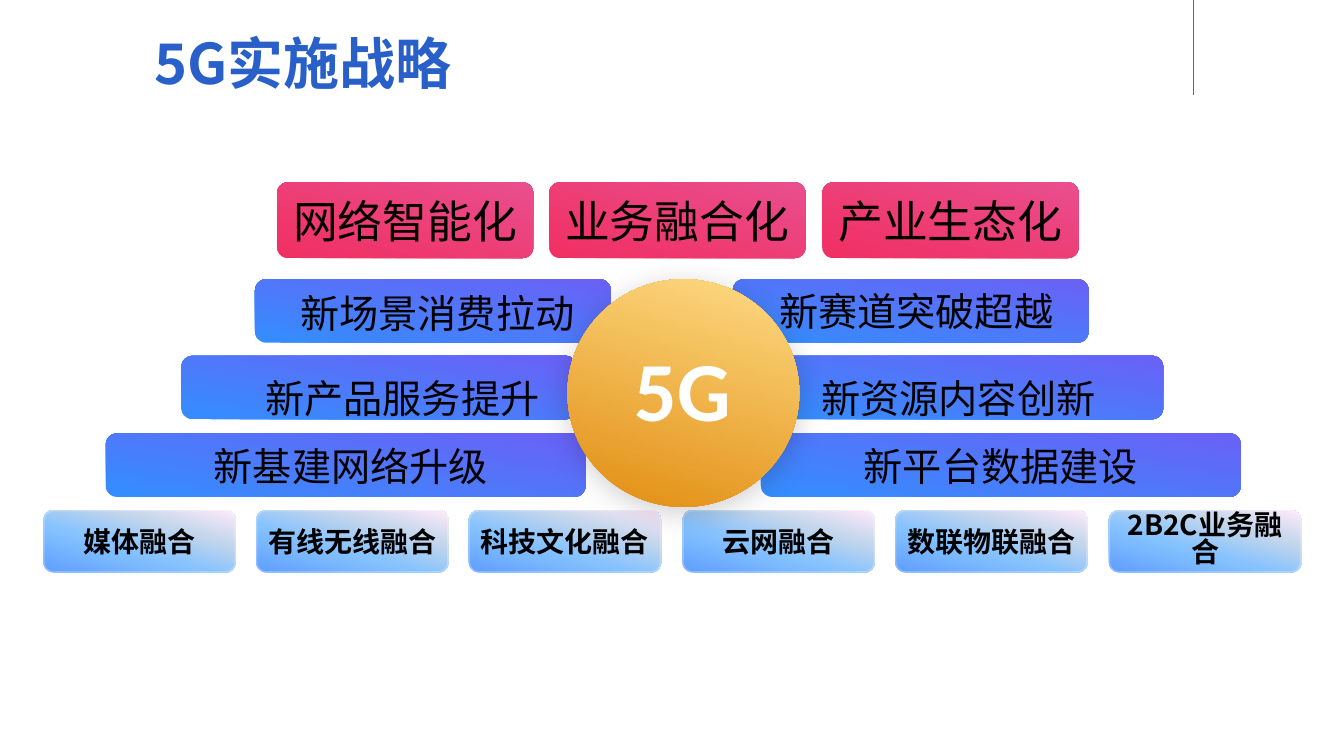
"""Builds the 5G strategy slide: goals, paired drivers and a base row around a disc."""
from lxml.etree import SubElement
from pptx import Presentation
from pptx.dml.color import RGBColor
from pptx.enum.shapes import MSO_CONNECTOR as LINK, MSO_SHAPE as SHAPE
from pptx.enum.text import MSO_ANCHOR as ANCHOR, MSO_AUTO_SIZE as FIT, PP_ALIGN as ALIGN
from pptx.oxml import parse_xml
from pptx.oxml.ns import nsdecls, qn
from pptx.util import Pt

PX = 9144
SANS = "Noto Sans CJK SC"
PINK = [(0, "F12F62"), (100, "E94E8D")]
BLUE = [(0, "348EFE"), (100, "6A61F6")]
PALE = [(0, "5E9EFF"), (40, "85C2FF"), (70, "C4D6EB"), (100, "FFEBFA")]
GOLD = [(0, "E28D12"), (100, "FDDB84")]
TITLE = [(0, "295FC9"), (100, "B15199")]


def grade(fill, stops, angle):
    """Give a fill a linear gradient with a clockwise angle."""
    fill.gradient()
    fill.gradient_angle = 360 - angle
    part = fill._xPr.find(qn("a:gradFill")).find(qn("a:gsLst"))
    part.clear()
    for pos, hue in stops:
        stop = SubElement(part, qn("a:gs"), pos=str(pos * 1000))
        SubElement(stop, qn("a:srgbClr"), val=hue)


def write(shape, text, size, align, bold=False, pad=6, face=SANS, hue="000000"):
    """Put one styled line of text in a shape and return its run."""
    frame = shape.text_frame
    frame.text = text
    frame.word_wrap = True
    frame.vertical_anchor = ANCHOR.MIDDLE
    frame.margin_left = frame.margin_right = pad * PX
    frame.margin_top = frame.margin_bottom = pad * PX
    line = frame.paragraphs[0]
    line.alignment = align
    run = line.runs[0]
    run.font.size = Pt(size)
    run.font.bold = bold
    run.font.color.rgb = RGBColor.from_string(hue)
    run.font.name = face
    SubElement(run.font._element, qn("a:ea"), typeface=face)
    return run


deck = Presentation()
deck.slide_width, deck.slide_height = 12192000, 750 * PX
slide = deck.slides.add_slide(deck.slide_layouts[5])
shapes = slide.shapes

rule = shapes.add_connector(LINK.STRAIGHT, 1184 * PX, 0, 1184 * PX, 94 * PX)
rule.line.color.rgb = RGBColor.from_string("0080FF")
rule.line.width = Pt(1)
SubElement(rule._element.spPr, qn("a:effectLst"))

title = shapes.title
title.left, title.top, title.width, title.height = 143 * PX, 23 * PX, 1032 * PX, 77 * PX
run = write(title, "5G实施战略", 40, ALIGN.LEFT, True, 10)
grade(run.font.fill, TITLE, 90)

goals = ["网络智能化", "业务融合化", "产业生态化"]
bases = ["媒体融合", "有线无线融合", "科技文化融合", "云网融合", "数联物联融合", "2B2C业务融合"]
rows = [
    (goals, 275, 541 / 2, 181, 254, 75, 0.138, PINK, 32),
    (bases, 43, 1057 / 5, 506, 191, 62, 0.167, PALE, 20),
]
for words, left, step, top, wide, high, bend, stops, size in rows:
    for i, word in enumerate(words):
        x = left + int(i * step)
        box = shapes.add_shape(SHAPE.ROUNDED_RECTANGLE, x * PX, top * PX, wide * PX, high * PX)
        box.adjustments[0] = bend
        box.shadow.inherit = False
        grade(box.fill, stops, 286)
        box.line.fill.background()
        if words is bases:
            box.line.color.rgb = RGBColor.from_string("FFFFFF")
            box.line.width = Pt(2)
            hue = box.line._ln.find(".//" + qn("a:srgbClr"))
            SubElement(hue, qn("a:alpha"), val="25000")
        write(box, word, size, ALIGN.CENTER, words is bases)
box.text_frame.paragraphs[0].line_spacing = 0.8

bars = [
    (105, 430, 476), (180, 353, 392), (253, 277, 353),
    (755, 430, 476), (762, 353, 392), (727, 277, 353),
]
for x, y, wide in bars:
    bar = shapes.add_shape(SHAPE.ROUNDED_RECTANGLE, x * PX, y * PX, wide * PX, 63 * PX)
    bar.adjustments[0] = 0.175
    bar.shadow.inherit = False
    bar.line.fill.background()
    grade(bar.fill, BLUE, 279)

notes = [
    ("新资源内容创新", 805, 361, 297, 52, ALIGN.JUSTIFY, 10, ANCHOR.TOP),
    ("新平台数据建设", 851, 440, 333, 45, ALIGN.JUSTIFY, 6, ANCHOR.MIDDLE),
    ("新场景消费拉动", 292, 284, 314, 52, ALIGN.JUSTIFY, 6, ANCHOR.MIDDLE),
    ("新产品服务提升", 245, 361, 300, 68, ALIGN.RIGHT, 10, ANCHOR.TOP),
    ("新基建网络升级", 180, 433, 310, 58, ALIGN.RIGHT, 6, ANCHOR.MIDDLE),
    ("新赛道突破超越", 767, 282, 289, 52, ALIGN.JUSTIFY, 6, ANCHOR.MIDDLE),
]
for word, x, y, wide, high, align, pad, anchor in notes:
    note = shapes.add_textbox(x * PX, y * PX, wide * PX, high * PX)
    write(note, word, 28, align, pad=pad)
    note.text_frame.vertical_anchor = anchor
    note.text_frame.auto_size = FIT.SHAPE_TO_FIT_TEXT

disc = shapes.add_shape(SHAPE.OVAL, 563 * PX, 277 * PX, 230 * PX, 226 * PX)
grade(disc.fill, GOLD, 286)
disc.line.fill.background()
disc._element.spPr.append(parse_xml(
    f'<a:effectLst {nsdecls("a")}><a:outerShdw blurRad="{Pt(21)}" dist="{Pt(4)}" dir="5400000">'
    '<a:srgbClr val="000000"><a:alpha val="18000"/></a:srgbClr></a:outerShdw></a:effectLst>'))

core = shapes.add_textbox(612 * PX, 329 * PX, 131 * PX, 112 * PX)
write(core, "5G", 60, ALIGN.CENTER, True, face="Calibri", hue="FFFFFF")

deck.save("out.pptx")
